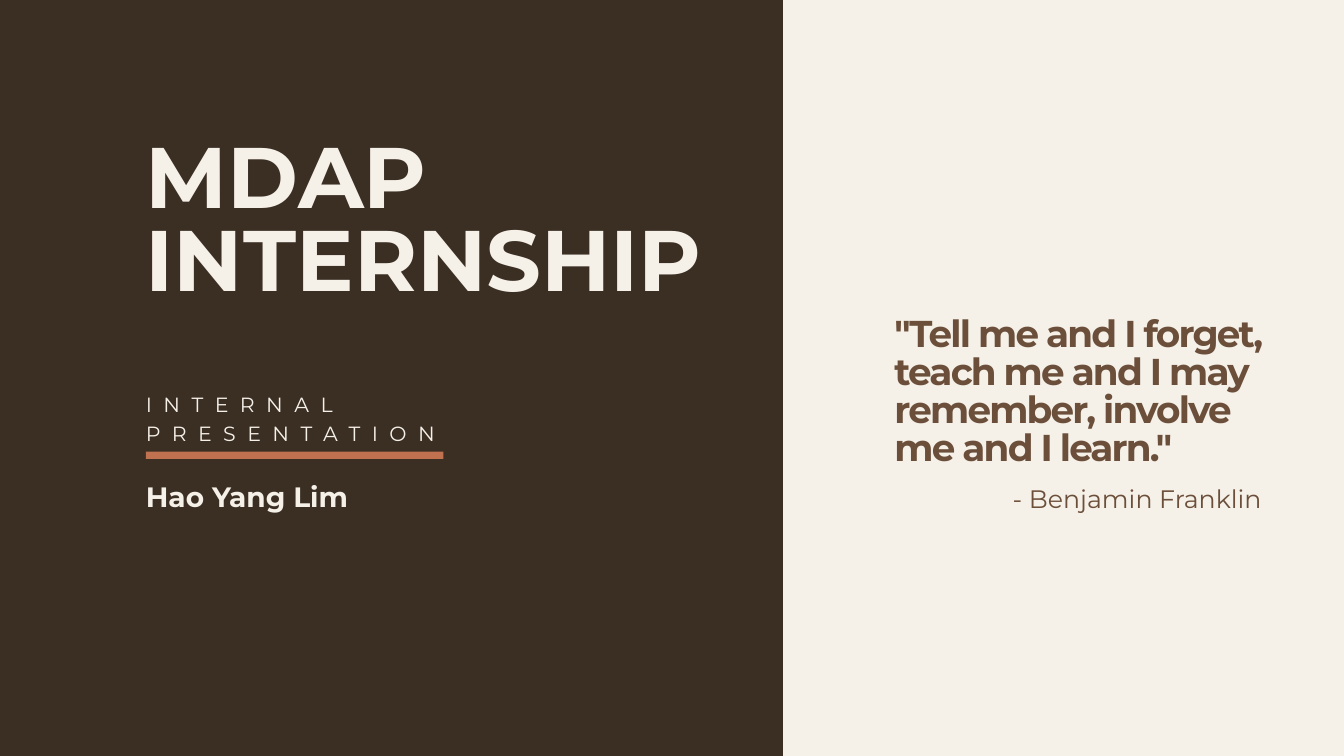
from dataclasses import dataclass

from pptx import Presentation
from pptx.dml.color import RGBColor as Rgb
from pptx.enum.shapes import MSO_AUTO_SHAPE_TYPE as Preset
from pptx.enum.text import MSO_AUTO_SIZE as AutoSize
from pptx.util import Inches, Pt

WIDTH, HEIGHT = 20, 11.25
SPLIT = 11.67
LEFT_MARGIN = 2.17


@dataclass(frozen=True)
class TextStyle:
    size: float
    leading: float
    color: Rgb
    bold: bool = False
    tracking: float = 0


class Theme:
    font = "Montserrat"
    dark = Rgb.from_string("3B2F24")
    cream = Rgb.from_string("F5F0E8")
    accent = Rgb.from_string("C0714F")
    brown = Rgb.from_string("6B4F3A")

    title = TextStyle(92, 89.2, cream, bold=True)
    subtitle = TextStyle(22, 30.8, cream, tracking=12.3)
    presenter = TextStyle(30, 42, cream, bold=True)
    quote = TextStyle(40, 40.8, brown, bold=True, tracking=-1.9)
    attribution = TextStyle(27, 37.8, brown)


def add_block(slide, left, top, width, height, color, outline=0):
    block = slide.shapes.add_shape(
        Preset.RECTANGLE, Inches(left), Inches(top), Inches(width), Inches(height))
    block.shadow.inherit = False
    block.fill.solid()
    block.fill.fore_color.rgb = color
    if outline:
        block.line.color.rgb = color
        block.line.width = Pt(outline)
    else:
        block.line.fill.background()


def add_text(slide, left, top, width, height, text, style):
    box = slide.shapes.add_textbox(
        Inches(left), Inches(top), Inches(width), Inches(height))
    frame = box.text_frame
    frame.word_wrap = True
    frame.auto_size = AutoSize.SHAPE_TO_FIT_TEXT
    frame.margin_left = frame.margin_top = 0
    frame.margin_right = frame.margin_bottom = 0

    paragraph = frame.paragraphs[0]
    paragraph.line_spacing = Pt(style.leading)
    font = paragraph.font
    font.name = Theme.font
    font.size = Pt(style.size)
    font.bold = style.bold
    font.color.rgb = style.color

    run = paragraph.add_run()
    run.text = text
    if style.tracking:
        run._r.get_or_add_rPr().set("spc", str(round(style.tracking * 100)))


def add_panels(slide):
    add_block(slide, 0, 0, SPLIT, HEIGHT, Theme.dark, outline=2)
    add_block(slide, SPLIT, 0, WIDTH - SPLIT, HEIGHT, Theme.cream, outline=2)


def add_heading(slide):
    add_block(slide, LEFT_MARGIN, 6.72, 4.43, 0.11, Theme.accent)
    add_text(slide, LEFT_MARGIN, 2.12, 8.38, 2.52, "MDAP INTERNSHIP", Theme.title)
    add_text(slide, LEFT_MARGIN, 5.77, 5.6, 0.83, "INTERNAL PRESENTATION", Theme.subtitle)
    add_text(slide, LEFT_MARGIN, 7.06, 5.6, 0.56, "Hao Yang Lim", Theme.presenter)


def add_quote(slide):
    add_text(slide, 13.31, 4.72, 5.57, 2.27,
             '"Tell me and I forget, teach me and I may remember, '
             'involve me and I learn."', Theme.quote)
    add_text(slide, 15.07, 7.12, 3.8, 0.5, "- Benjamin Franklin", Theme.attribution)


def main():
    deck = Presentation()
    deck.slide_width, deck.slide_height = Inches(WIDTH), Inches(HEIGHT)
    slide = deck.slides.add_slide(deck.slide_layouts[6])
    add_panels(slide)
    add_heading(slide)
    add_quote(slide)
    deck.save("out.pptx")


if __name__ == "__main__":
    main()
